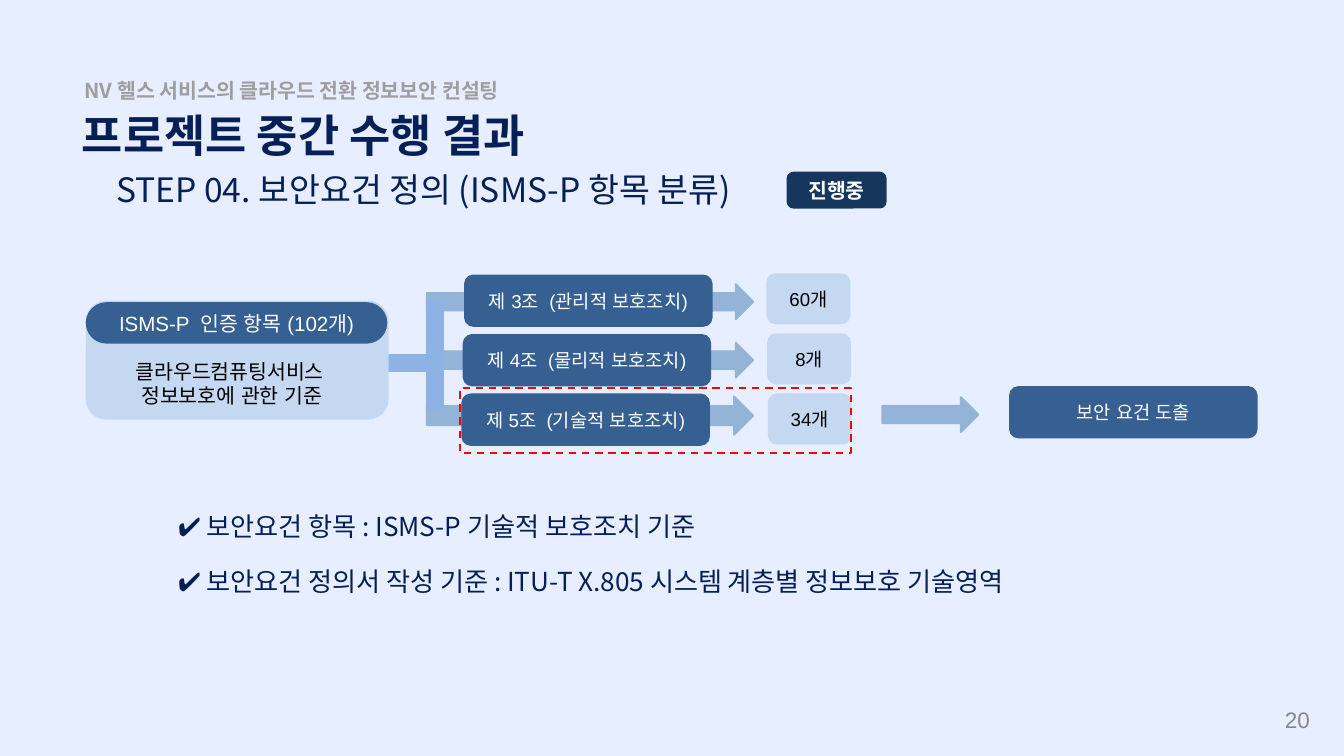
from lxml.etree import SubElement
from pptx import Presentation
from pptx.dml.color import RGBColor
from pptx.enum.dml import MSO_LINE
from pptx.enum.shapes import MSO_SHAPE
from pptx.enum.text import MSO_ANCHOR, MSO_AUTO_SIZE, PP_ALIGN
from pptx.oxml.ns import qn
from pptx.util import Inches, Pt

COLORS = {
    "background": "E7EEFF", "navy": "061F56", "gray": "9E9E9E", "number": "888888",
    "arrow": "93B3D7", "stem": "8CB3E3", "box": "366092", "pale": "C5D8F1",
    "status": "17365D", "focus": "FF0000", "white": "FFFFFF", "black": "000000",
}
KOREAN = "Noto Sans CJK KR"

deck = Presentation()
deck.slide_width, deck.slide_height = Inches(20), Inches(11.25)
column, row = deck.slide_width / 100, deck.slide_height / 100
slide = deck.slides.add_slide(deck.slide_layouts[1])
slide.background.fill.solid()
slide.background.fill.fore_color.rgb = RGBColor.from_string(COLORS["background"])


def write(holder, lines, size, color, font="Arial", bold=False,
          align=PP_ALIGN.LEFT, anchor=MSO_ANCHOR.TOP):
    frame = holder.text_frame
    frame.word_wrap = True
    frame.auto_size = MSO_AUTO_SIZE.NONE
    frame.vertical_anchor = anchor
    frame.text = lines
    for paragraph in frame.paragraphs:
        paragraph.alignment = align
        paragraph.font.size = Pt(size)
        paragraph.font.bold = bold
        paragraph.font.name = font
        paragraph.font.color.rgb = RGBColor.from_string(COLORS[color])
        defaults = paragraph._p.pPr.find(qn("a:defRPr"))
        SubElement(defaults, qn("a:ea"), typeface=font)


def draw(kind, left, top, width, height, color, label="", size=20, ink="white", bold=False):
    block = slide.shapes.add_shape(kind, int(left * column), int(top * row),
                                   int(width * column), int(height * row))
    block.shadow.inherit = False
    block.fill.solid()
    block.fill.fore_color.rgb = RGBColor.from_string(COLORS[color])
    block.line.color.rgb = RGBColor.from_string(COLORS[color])
    block.line.width = Pt(2)
    if label:
        write(block, label, size, ink, bold=bold, align=PP_ALIGN.CENTER, anchor=MSO_ANCHOR.MIDDLE)
    return block


title, findings = slide.placeholders
title.left, title.top = int(5.6 * column), int(13.87 * row)
title.width, title.height = int(51.55 * column), int(8.09 * row)
write(title, "프로젝트 중간 수행 결과", 48, "navy", KOREAN, True)

captions = [
    (8.15, 21.96, 53.7, 6.31, "STEP 04. 보안요건 정의 (ISMS-P 항목 분류)",
     36, "navy", KOREAN, False, PP_ALIGN.LEFT, MSO_ANCHOR.TOP),
    (86.3, 93.42, 11.65, 3.56, "20",
     24, "number", "Arial", False, PP_ALIGN.RIGHT, MSO_ANCHOR.MIDDLE),
    (5.8, 9.87, 48.75, 4.18, "NV 헬스 서비스의 클라우드 전환 정보보안 컨설팅",
     22, "gray", KOREAN, True, PP_ALIGN.LEFT, MSO_ANCHOR.MIDDLE),
]
for left, top, width, height, *wording in captions:
    caption = slide.shapes.add_textbox(int(left * column), int(top * row),
                                       int(width * column), int(height * row))
    write(caption, *wording)

findings.left, findings.top = int(12.75 * column), int(63.29 * row)
findings.width, findings.height = int(81.8 * column), int(21.87 * row)
write(findings, "\n".join(["✔ ", "✔ "]), 28, "navy", KOREAN)
findings.text_frame.margin_top = int(4.2 * row)
statements = ["보안요건 항목 : ISMS-P 기술적 보호조치 기준",
              "보안요건 정의서 작성 기준 : ITU-T X.805 시스템 계층별 정보보호 기술영역"]
for paragraph, statement, gap in zip(findings.text_frame.paragraphs, statements, (0, 26)):
    paragraph.runs[0].font.bold = True
    paragraph.add_run().text = statement
    paragraph.space_before = Pt(gap)
    properties = paragraph._p.pPr
    properties.set("marL", "0")
    properties.set("indent", "0")
    properties.find(qn("a:defRPr")).addprevious(SubElement(properties, qn("a:buNone")))

for top, height in [(37.6, 4.62), (45.33, 4.62), (52.44, 5.07)]:
    draw(MSO_SHAPE.RIGHT_ARROW, 31.75, top, 24.3, height, "arrow")
draw(MSO_SHAPE.RECTANGLE, 28.45, 46.93, 3.95, 2.13, "stem")
draw(MSO_SHAPE.RECTANGLE, 31.75, 39.82, 1.25, 14.4, "stem")

draw(MSO_SHAPE.ROUNDED_RECTANGLE, 6.45, 39.91, 22.4, 15.47, "pale")
standard = draw(MSO_SHAPE.ROUNDED_RECTANGLE, 6.45, 40.09, 22.3, 5.24, "box",
                "ISMS-P  인증 항목 (102개)", 22)
standard.adjustments[0] = 0.5
basis = slide.shapes.add_textbox(int(9.6 * column), int(47.02 * row),
                                 int(20.4 * column), int(7.47 * row))
write(basis, "클라우드컴퓨팅서비스\n 정보보호에 관한 기준", 22, "black")

articles = [("제 3조  (관리적 보호조치)", "60개"),
            ("제 4조  (물리적 보호조치)", "8개"),
            ("제 5조  (기술적 보호조치)", "34개")]
for index, (article, count) in enumerate(articles):
    draw(MSO_SHAPE.ROUNDED_RECTANGLE, 34.6 - 0.1 * index, 36.44 + 7.87 * index,
         18.35, 6.67, "box", article)
    draw(MSO_SHAPE.ROUNDED_RECTANGLE, 57.1 + 0.05 * index, 36.27 + 7.95 * index,
         6.1, 6.49, "pale", count, ink="black")

draw(MSO_SHAPE.RIGHT_ARROW, 65.65, 52.53, 7.15, 4.62, "arrow")
draw(MSO_SHAPE.ROUNDED_RECTANGLE, 58.6, 22.84, 7.3, 4.62, "status", "진행중", 22, bold=True)
focus = draw(MSO_SHAPE.RECTANGLE, 34.2, 51.38, 29.1, 8.53, "focus")
focus.fill.background()
focus.line.dash_style = MSO_LINE.DASH
draw(MSO_SHAPE.ROUNDED_RECTANGLE, 75.15, 51.2, 18.35, 6.67, "box", "보안 요건 도출")

deck.save("out.pptx")
